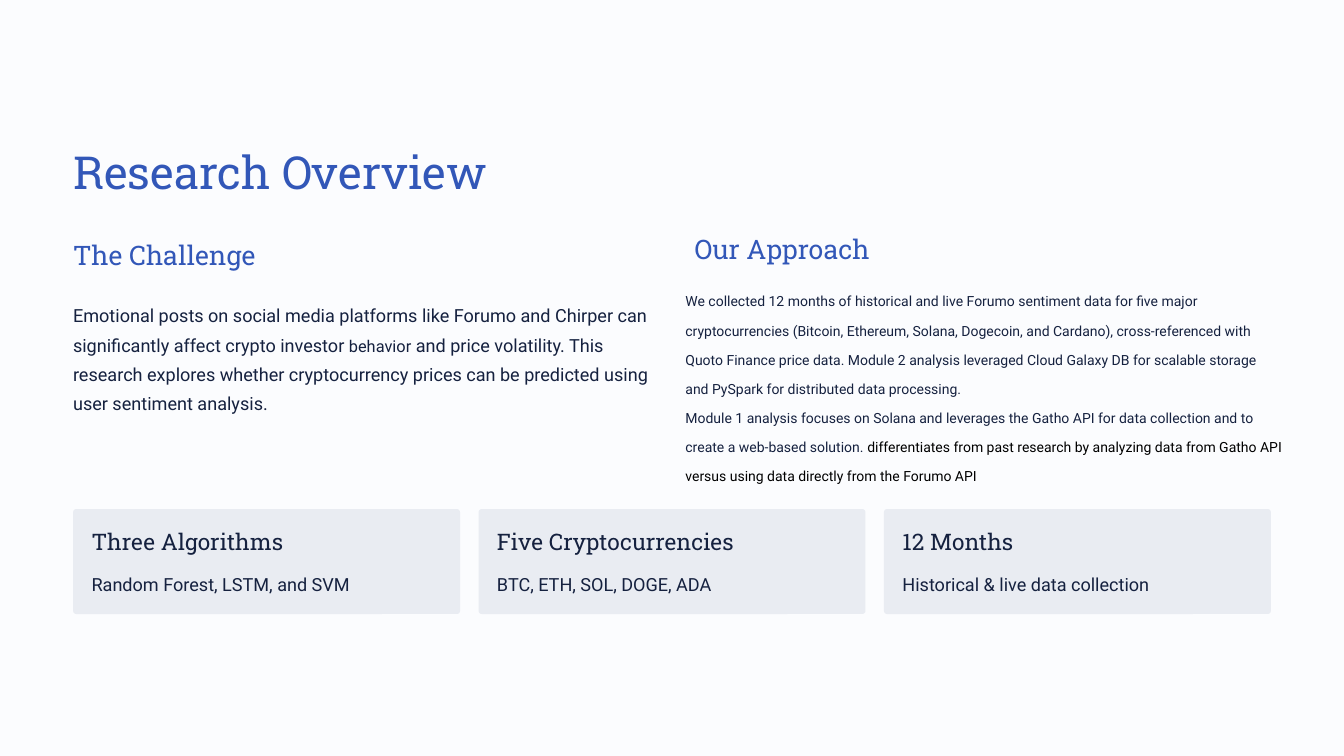
import pptx
import pptx.util
import pptx.dml.color
import pptx.enum.shapes
import pptx.enum.text

Inches = pptx.util.Inches
Pt = pptx.util.Pt
RGBColor = pptx.dml.color.RGBColor

BACKGROUND = RGBColor(0xFB, 0xFC, 0xFE)
BLUE = RGBColor(0x32, 0x57, 0xB8)
NAVY = RGBColor(0x15, 0x21, 0x3F)
BLACK = RGBColor(0, 0, 0)
CARD_FILL = RGBColor(0xE9, 0xEC, 0xF2)
HEADING_FONT = "Roboto Slab"
BODY_FONT = "Roboto"

SLIDE_WIDTH, SLIDE_HEIGHT = 16, 9
MARGIN = 0.87
CONTENT_WIDTH = SLIDE_WIDTH - 2 * MARGIN
CARD_GAP = 0.22
CARD_PADDING = 0.22

CHALLENGE = [[
    ("Emotional posts on social media platforms like Forumo and Chirper can "
     "significantly affect crypto investor ", 15.5, NAVY),
    ("behavior", 14, NAVY),
    (" and price volatility. This research explores whether cryptocurrency "
     "prices can be predicted using user sentiment analysis.", 15.5, NAVY),
]]
APPROACH = [
    [("We collected 12 months of historical and live Forumo sentiment data for five "
      "major cryptocurrencies (Bitcoin, Ethereum, Solana, Dogecoin, and Cardano), "
      "cross-referenced with Quoto Finance price data. Module 2 analysis leveraged "
      "Cloud Galaxy DB for scalable storage and PySpark for distributed data "
      "processing.", 12, NAVY)],
    [("Module 1 analysis focuses on Solana and leverages the Gatho API for data "
      "collection and to create a web-based solution.", 12, NAVY),
     (" differentiates from past research by analyzing data from Gatho API versus "
      "using data directly from the Forumo API", 12, BLACK)],
]
CARDS = [
    ("Three Algorithms", "Random Forest, LSTM, and SVM"),
    ("Five Cryptocurrencies", "BTC, ETH, SOL, DOGE, ADA"),
    ("12 Months", "Historical & live data collection"),
]


def place(shape, left, top, width, height):
    shape.left, shape.top = Inches(left), Inches(top)
    shape.width, shape.height = Inches(width), Inches(height)


def fill_text(shape, paragraphs, font_name, line_spacing, wrap=False):
    frame = shape.text_frame
    frame.margin_left = frame.margin_top = frame.margin_right = frame.margin_bottom = 0
    frame.word_wrap = wrap
    frame.auto_size = pptx.enum.text.MSO_AUTO_SIZE.NONE
    frame.vertical_anchor = pptx.enum.text.MSO_ANCHOR.TOP
    frame.text = "\n".join("" for _ in paragraphs)
    for paragraph, runs in zip(frame.paragraphs, paragraphs):
        paragraph.alignment = pptx.enum.text.PP_ALIGN.LEFT
        paragraph.line_spacing = Pt(line_spacing)
        for text, size, color in runs:
            run = paragraph.add_run()
            run.text = text
            run.font.name = font_name
            run.font.size = Pt(size)
            run.font.color.rgb = color


def add_text(slide, box, paragraphs, font_name, line_spacing, wrap=False):
    shape = slide.shapes.add_textbox(*(Inches(length) for length in box))
    fill_text(shape, paragraphs, font_name, line_spacing, wrap)


def add_title(slide, left, top, width, height):
    title = slide.shapes.title
    place(title, left, top, width, height)
    fill_text(title, [[("Research Overview", 39, BLUE)]], HEADING_FONT, 48.5)


def add_section(slide, left, top, width, height, heading, paragraphs,
                heading_indent, body_offset):
    add_text(slide, (left + heading_indent, top, 3.26, 0.41),
             [[(heading, 23, BLUE)]], HEADING_FONT, 29)
    add_text(slide, (left, top + body_offset, width, height - body_offset),
             paragraphs, BODY_FONT, 25, wrap=True)


def add_card(slide, left, top, width, height, heading, detail):
    card = slide.shapes.add_shape(
        pptx.enum.shapes.MSO_SHAPE.ROUNDED_RECTANGLE,
        Inches(left), Inches(top), Inches(width), Inches(height))
    card.adjustments[0] = 0.03
    card.shadow.inherit = False
    card.fill.solid()
    card.fill.fore_color.rgb = CARD_FILL
    card.line.fill.background()
    text_left = left + CARD_PADDING
    text_width = width - 2 * CARD_PADDING
    add_text(slide, (text_left, top + CARD_PADDING, text_width, 0.34),
             [[(heading, 19.5, NAVY)]], HEADING_FONT, 24)
    add_text(slide, (text_left, top + 0.68, text_width, 0.35),
             [[(detail, 15.5, NAVY)]], BODY_FONT, 25)


def add_card_row(slide, left, top, width, height):
    card_width = (width - CARD_GAP * (len(CARDS) - 1)) / len(CARDS)
    for column, (heading, detail) in enumerate(CARDS):
        card_left = left + column * (card_width + CARD_GAP)
        add_card(slide, card_left, top, card_width, height, heading, detail)


def main():
    presentation = pptx.Presentation()
    presentation.slide_width = Inches(SLIDE_WIDTH)
    presentation.slide_height = Inches(SLIDE_HEIGHT)
    slide = presentation.slides.add_slide(presentation.slide_layouts[5])
    slide.background.fill.solid()
    slide.background.fill.fore_color.rgb = BACKGROUND
    add_title(slide, MARGIN, 1.69, 5.43, 0.68)
    add_section(slide, MARGIN, 2.82, 6.87, 2.11, "The Challenge", CHALLENGE, 0, 0.72)
    add_section(slide, 8.16, 2.75, 7.11, 3.11, "Our Approach", APPROACH, 0.11, 0.59)
    add_card_row(slide, MARGIN, 6.06, CONTENT_WIDTH, 1.25)
    presentation.save("out.pptx")


if __name__ == "__main__":
    main()
